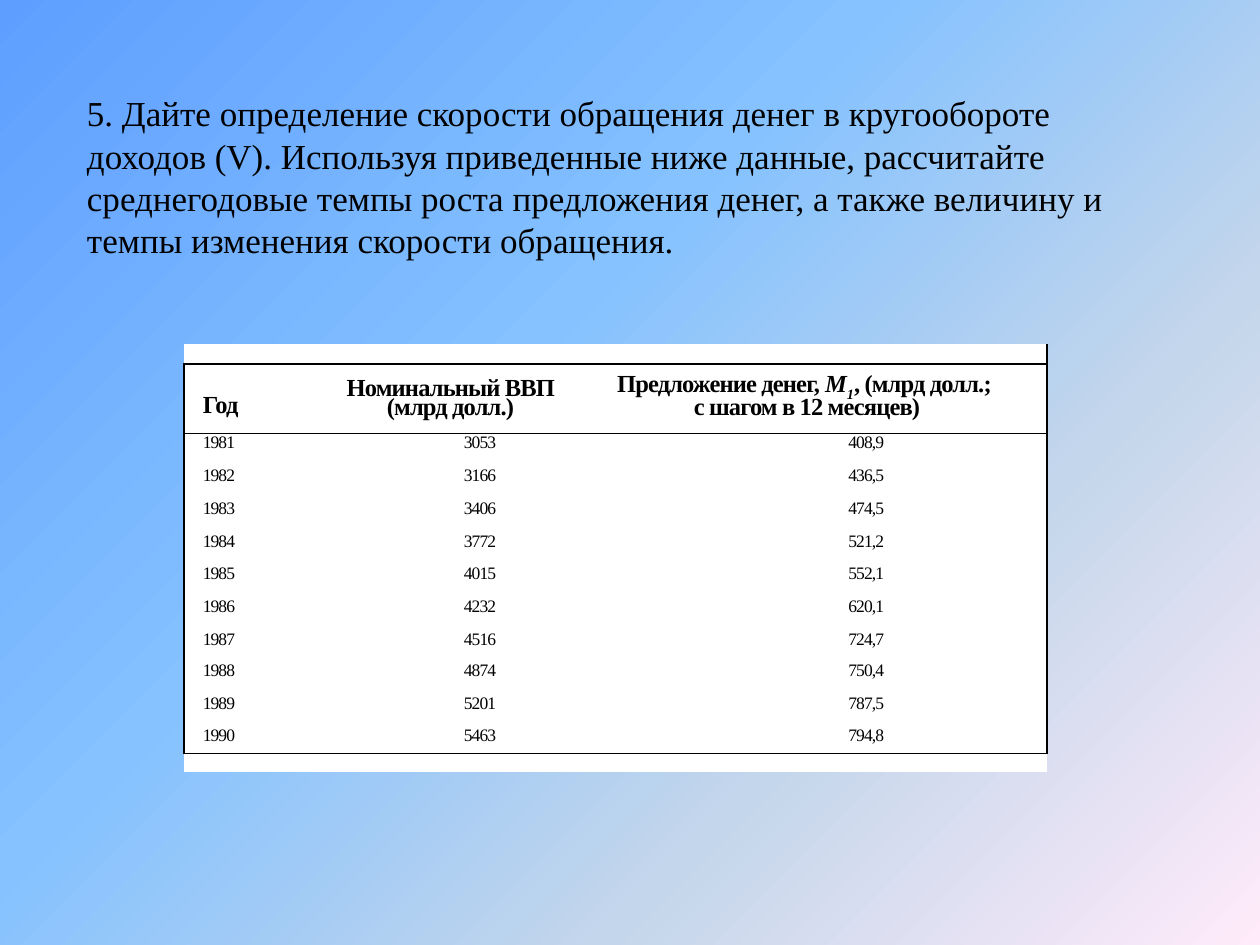
import pptx
import pptx.util
import pptx.dml.color
import pptx.enum.text
import pptx.oxml.ns
from lxml import etree

Inches = pptx.util.Inches
Pt = pptx.util.Pt
qn = pptx.oxml.ns.qn
PP_ALIGN = pptx.enum.text.PP_ALIGN
BLACK = pptx.dml.color.RGBColor(0x00, 0x00, 0x00)
WHITE = pptx.dml.color.RGBColor(0xFF, 0xFF, 0xFF)
GRADIENT = [
    (0, pptx.dml.color.RGBColor(0x5E, 0x9E, 0xFF)),
    (40, pptx.dml.color.RGBColor(0x85, 0xC2, 0xFF)),
    (70, pptx.dml.color.RGBColor(0xC4, 0xD6, 0xEB)),
    (100, pptx.dml.color.RGBColor(0xFF, 0xEB, 0xFA)),
]
FONT = "Times New Roman"
NO_STYLE = "{2D5ABB26-0587-4C30-8999-92F81FD0307C}"

QUESTION = (
    "5. Дайте определение скорости обращения денег в кругообороте доходов (V). "
    "Используя приведенные ниже данные, рассчитайте среднегодовые темпы роста "
    "предложения денег, а также величину и темпы изменения скорости обращения."
)
# Each heading holds paragraphs, each paragraph holds (text, italic, baseline).
HEADINGS = [
    [[("Год", False, 0)]],
    [[("Номинальный ВВП (млрд долл.)", False, 0)]],
    [
        [("Предложение денег, ", False, 0), ("М", True, 0), ("1", True, -25000),
         (", (млрд долл.; ", False, 0)],
        [("с шагом в 12 месяцев)", False, 0)],
    ],
]
DATA = [
    ("1981", "3053", "408,9"),
    ("1982", "3166", "436,5"),
    ("1983", "3406", "474,5"),
    ("1984", "3772", "521,2"),
    ("1985", "4015", "552,1"),
    ("1986", "4232", "620,1"),
    ("1987", "4516", "724,7"),
    ("1988", "4874", "750,4"),
    ("1989", "5201", "787,5"),
    ("1990", "5463", "794,8"),
]
COLUMN_WIDTHS = [1.15, 1.89, 3.81]
ROW_HEIGHTS = [0.16, 0.55] + [0.26] * 6 + [0.25, 0.26, 0.25, 0.22, 0.15]
HEADING_INDENTS = [0.14, 0.04, 0]
DATA_INDENTS = [0.14, 0.51, 0.94]
HEADING_TOPS = [0.22, 0.15, 0.15]
ALIGNMENTS = [PP_ALIGN.LEFT, PP_ALIGN.CENTER, PP_ALIGN.CENTER]


def add_border(cell, side):
    properties = cell._tc.get_or_add_tcPr()
    line = etree.SubElement(properties, qn("a:ln" + side), w=str(Pt(1)))
    fill = etree.SubElement(line, qn("a:solidFill"))
    etree.SubElement(fill, qn("a:srgbClr"), val=str(BLACK))


def write_cell(cell, paragraphs, column, indent, formats, line_spacing=None):
    frame = cell.text_frame
    for index, pieces in enumerate(paragraphs):
        para = frame.add_paragraph() if index else frame.paragraphs[0]
        para.alignment = ALIGNMENTS[column]
        para.line_spacing = line_spacing
        para._p.get_or_add_pPr().set("marL", str(Inches(indent)))
        for text, italic, baseline in pieces:
            span = para.add_run()
            span.text = text
            for name, value in formats.items():
                setattr(span.font, name, value)
            span.font.italic = italic
            span.font.color.rgb = BLACK
            run_properties = span._r.get_or_add_rPr()
            run_properties.set("spc", "-50")
            if baseline:
                run_properties.set("baseline", str(baseline))


deck = pptx.Presentation()
deck.slide_width = Inches(10)
deck.slide_height = Inches(7.5)
page = deck.slides.add_slide(deck.slide_layouts[5])

# Background
background = page.background.fill
background.gradient()
background.gradient_angle = 315
stops = page._element.find(".//" + qn("a:gsLst"))
for stop in list(stops):
    stops.remove(stop)
for position, color in GRADIENT:
    stop = etree.SubElement(stops, qn("a:gs"), pos=str(position * 1000))
    etree.SubElement(stop, qn("a:srgbClr"), val=str(color))

# Question
title = page.shapes.title
title.left, title.top = Inches(0.59), Inches(0.68)
title.width, title.height = Inches(8.35), Inches(1.75)
title.text_frame.word_wrap = True
title.text_frame.auto_size = pptx.enum.text.MSO_AUTO_SIZE.NONE
title.text_frame.vertical_anchor = pptx.enum.text.MSO_ANCHOR.TOP
para = title.text_frame.paragraphs[0]
para.alignment = PP_ALIGN.LEFT
para.line_spacing = Pt(24)
span = para.add_run()
span.text = QUESTION
span.font.name = FONT
span.font.size = Pt(20)
span.font.color.rgb = BLACK

# Table
last_row = len(ROW_HEIGHTS) - 1
table_frame = page.shapes.add_table(
    len(ROW_HEIGHTS), len(COLUMN_WIDTHS),
    Inches(1.46), Inches(2.73), Inches(sum(COLUMN_WIDTHS)), Inches(sum(ROW_HEIGHTS)),
)
table = table_frame.table
table.first_row = table.horz_banding = False
table._tbl.tblPr.find(qn("a:tableStyleId")).text = NO_STYLE
for column, width in enumerate(COLUMN_WIDTHS):
    table.columns[column].width = Inches(width)
for row, height in enumerate(ROW_HEIGHTS):
    table.rows[row].height = Inches(height)

for row in range(last_row + 1):
    for column in range(3):
        cell = table.cell(row, column)
        cell.margin_left = cell.margin_right = Inches(0.01)
        cell.margin_top = cell.margin_bottom = 0
        borders = {
            "L": column == 0 and 0 < row < last_row,
            "R": column == 2 and row < last_row,
            "T": row in (1, last_row),
            "B": row in (0, last_row - 1),
        }
        for side, shown in borders.items():
            if shown:
                add_border(cell, side)
        cell.fill.solid()
        cell.fill.fore_color.rgb = WHITE

        if row in (0, last_row):
            empty = cell.text_frame.paragraphs[0]._p
            etree.SubElement(empty, qn("a:endParaRPr"), sz="100")
        elif row == 1:
            cell.margin_top = Inches(HEADING_TOPS[column])
            write_cell(cell, HEADINGS[column], column, HEADING_INDENTS[column],
                       {"name": FONT, "size": Pt(14), "bold": True},
                       Pt(10.9) if column else None)
        else:
            write_cell(cell, [[(DATA[row - 2][column], False, 0)]], column,
                       DATA_INDENTS[column],
                       {"name": FONT, "size": Pt(10), "bold": False})

for row in (0, last_row):
    table.cell(row, 0).merge(table.cell(row, 2))
# The spanning top cell carries the right edge for the whole row.
top_cell = table.cell(0, 0)._tc.tcPr
right_edge = table.cell(0, 2)._tc.tcPr.find(qn("a:lnR"))
top_cell.insert(0, right_edge)

deck.save("out.pptx")
